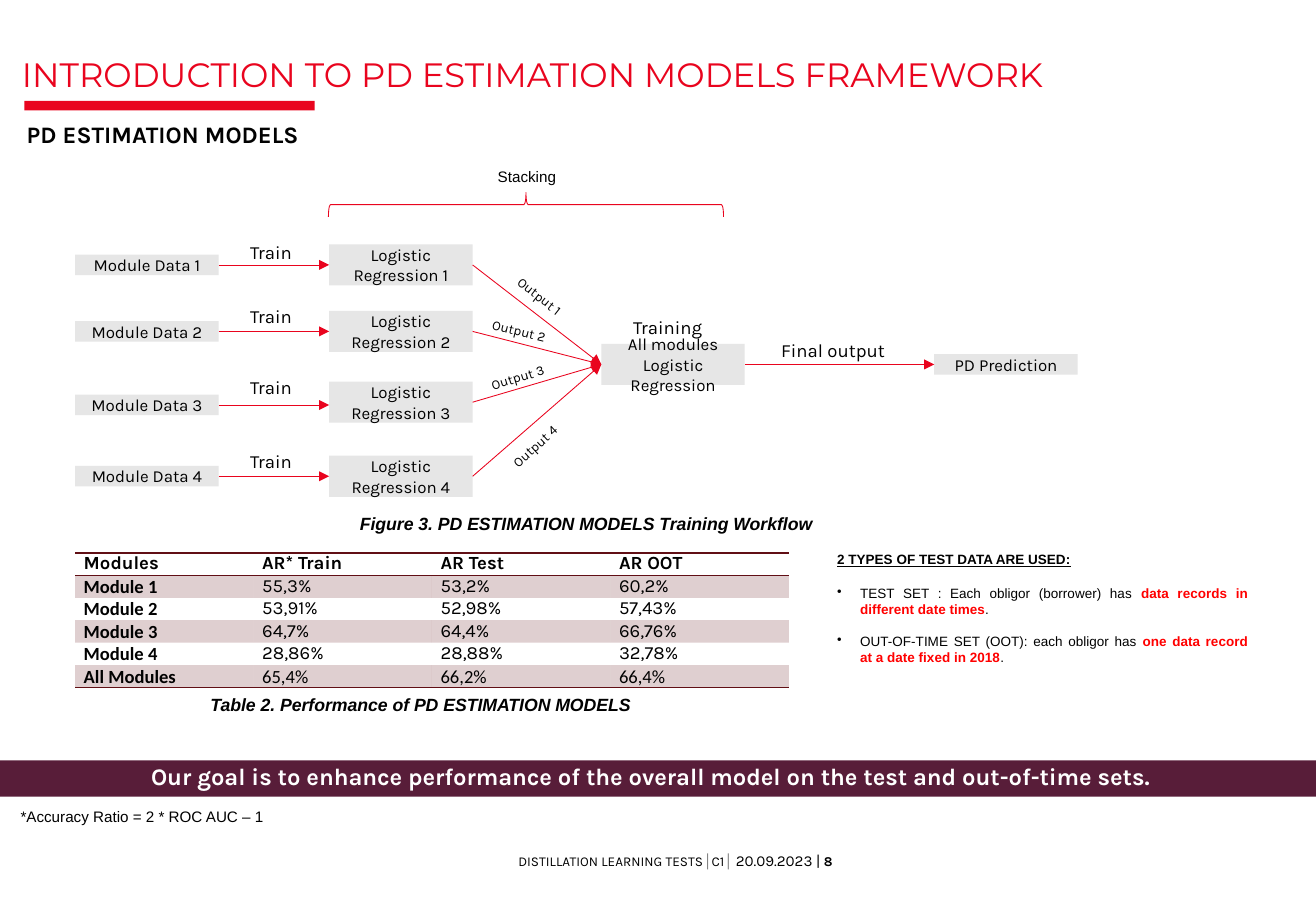
from dataclasses import dataclass
from typing import NamedTuple

from lxml import etree
from pptx import Presentation
from pptx import util as u
from pptx.dml import color
from pptx.enum import shapes, text
from pptx.oxml import ns

RED, INK, GREY, MAROON = "E9041E", "010101", "E6E6E6", "610F15"
KARLA, ARIAL = "Karla", "Arial"
LEFT, CENTER, JUSTIFY = text.PP_ALIGN.LEFT, text.PP_ALIGN.CENTER, text.PP_ALIGN.JUSTIFY
TOP, MIDDLE, BOTTOM = text.MSO_ANCHOR.TOP, text.MSO_ANCHOR.MIDDLE, text.MSO_ANCHOR.BOTTOM
BOX_WIDTH, LOW, TALL = 3.0, 0.43, 0.86
PLAIN_TABLE = "{2D5ABB26-0587-4C30-8999-92F81FD0307C}"


class Style(NamedTuple):
    size: float
    font: str = KARLA
    color: str = INK
    bold: bool = False
    italic: bool = False
    underline: bool = False


BOX, ACTION, OUTPUT = Style(10), Style(11), Style(8)
CAPTION = Style(10.5, ARIAL, bold=True, italic=True)
NOTE = Style(8, ARIAL)
NOTE_KEY = Style(8, ARIAL, "FF0000", bold=True)


@dataclass
class Label:
    words: str
    left: float
    top: float
    width: float
    height: float
    style: Style
    align: text.PP_ALIGN = LEFT
    angle: float = 0
    inset: float = 0.1
    anchor: text.MSO_ANCHOR = TOP
    line_spacing: float = 1.0


@dataclass
class Branch:
    """One module; y values are centres, output_x and output_y centre the slanted label."""
    module_y: float
    regression_y: float
    train_top: float
    output_x: float
    output_y: float
    angle: float


BRANCHES = [
    Branch(5.54, 5.54, 4.93, 11.28, 6.19, 38.2),
    Branch(6.93, 6.93, 6.27, 10.85, 6.92, 13.9),
    Branch(8.47, 8.41, 7.77, 10.82, 7.89, -17.3),
    Branch(9.96, 9.96, 9.32, 11.18, 9.33, -42.5),
]
LABELS = [
    Label("INTRODUCTION TO PD ESTIMATION MODELS FRAMEWORK", 0.46, 1.3, 25.7, 0.66,
          Style(20, "Montserrat", RED), inset=0, anchor=BOTTOM, line_spacing=0.75),
    Label("PD ESTIMATION MODELS", 0.46, 2.41, 20.62, 0.81, Style(14, bold=True)),
    Label("Stacking", 9.68, 3.4, 2.67, 0.58, Style(9, ARIAL), CENTER),
    Label("Training", 12.6, 6.5, 2.72, 0.66, ACTION, CENTER),
    Label("Final output", 16.23, 6.99, 3.3, 0.66, ACTION),
    Label("Figure 3. PD ESTIMATION MODELS Training Workflow", 6.53, 10.62, 11.46, 0.66,
          CAPTION, CENTER),
    Label("Table 2. Performance of PD ESTIMATION MODELS", 3.07, 14.4, 11.46, 0.66,
          CAPTION, CENTER),
    Label("*Accuracy Ratio = 2 * ROC AUC – 1", 0.33, 16.79, 6.02, 0.97, Style(9, ARIAL)),
]
RESULTS = [
    ("Modules", "AR* Train", "AR Test", "AR OOT"),
    ("Module 1", "55,3%", "53,2%", "60,2%"),
    ("Module 2", "53,91%", "52,98%", "57,43%"),
    ("Module 3", "64,7%", "64,4%", "66,76%"),
    ("Module 4", "28,86%", "28,88%", "32,78%"),
    ("All Modules", "65,4%", "66,2%", "66,4%"),
]
FOOTER = [
    ("DISTILLATION LEARNING TESTS", Style(8)), ("│", Style(8, color="808080")),
    ("C1", Style(8)), ("│ ", Style(8, color="808080")),
    ("20.09.2023 |", Style(9)), (" 8", Style(8, bold=True)),
]
TEST_SETS = [
    ("TEST SET : Each obligor (borrower) has ", "data records in different date times", 10.4),
    ("OUT-OF-TIME SET (OOT): each obligor has ", "one data record at a date fixed in 2018", 9.2),
]

deck = Presentation()
deck.slide_width, deck.slide_height = u.Cm(27.51), u.Cm(19.05)
slide = deck.slides.add_slide(deck.slide_layouts[6])


def rgb(value: str) -> color.RGBColor:
    return color.RGBColor.from_string(value)


def area(*lengths: float) -> list[u.Cm]:
    return [u.Cm(length) for length in lengths]


def format_run(run, style: Style) -> None:
    font = run.font
    font.size, font.name = u.Pt(style.size), style.font
    font.bold, font.italic, font.underline = style.bold, style.italic, style.underline
    font.color.rgb = rgb(style.color)


def add_runs(paragraph, pieces: list[tuple[str, Style]]) -> None:
    for words, style in pieces:
        run = paragraph.add_run()
        run.text = words
        format_run(run, style)


def set_frame(frame, inset: float, anchor: text.MSO_ANCHOR) -> None:
    frame.word_wrap, frame.vertical_anchor = True, anchor
    frame.margin_left = frame.margin_right = u.Cm(inset)
    frame.margin_top = frame.margin_bottom = u.Cm(inset)


def set_words(frame, words: str, style: Style, align: text.PP_ALIGN) -> None:
    frame.text = words
    frame.paragraphs[0].alignment = align
    format_run(frame.paragraphs[0].runs[0], style)


def add_label(label: Label) -> None:
    holder = slide.shapes.add_textbox(*area(label.left, label.top, label.width, label.height))
    holder.rotation = label.angle
    set_frame(holder.text_frame, label.inset, label.anchor)
    set_words(holder.text_frame, label.words, label.style, label.align)
    holder.text_frame.paragraphs[0].line_spacing = label.line_spacing


def add_bar(left: float, top: float, width: float, height: float, fill: str):
    bar = slide.shapes.add_shape(shapes.MSO_SHAPE.RECTANGLE, *area(left, top, width, height))
    bar.shadow.inherit = False
    bar.fill.solid()
    bar.fill.fore_color.rgb = rgb(fill)
    bar.line.fill.background()
    return bar


def add_box(words: str, left: float, center_y: float, height: float):
    box = add_bar(left, center_y - height / 2, BOX_WIDTH, height, GREY)
    set_frame(box.text_frame, 0, MIDDLE)
    set_words(box.text_frame, words, BOX, CENTER)
    return box


def add_arrow(source, target, level: bool = False) -> None:
    """Joins two boxes; a level arrow keeps the height of its source."""
    y = source.top + source.height // 2
    arrow = slide.shapes.add_connector(
        shapes.MSO_CONNECTOR.STRAIGHT, source.left + source.width, y, target.left, y)
    arrow.begin_connect(source, 3)
    if not level:
        arrow.end_connect(target, 1)
    arrow.line.color.rgb, arrow.line.width = rgb(RED), u.Pt(0.5)
    properties = arrow.element.spPr
    etree.SubElement(properties.find(ns.qn("a:ln")), ns.qn("a:tailEnd"), type="triangle")
    etree.SubElement(properties, ns.qn("a:effectLst"))


def add_rule(cell, side: str) -> None:
    rule = etree.Element(ns.qn(f"a:{side}"), w=str(u.Pt(1)))
    fill = etree.SubElement(rule, ns.qn("a:solidFill"))
    etree.SubElement(fill, ns.qn("a:srgbClr"), val=MAROON)
    cell._tc.get_or_add_tcPr().insert(0, rule)


def add_results() -> None:
    table = slide.shapes.add_table(6, 4, *area(1.57, 11.56, 14.92, 2.82)).table
    table._tbl.tblPr.find(ns.qn("a:tableStyleId")).text = PLAIN_TABLE
    last = len(RESULTS) - 1
    for r, values in enumerate(RESULTS):
        table.rows[r].height = u.Cm(0.47)
        for c, value in enumerate(values):
            cell = table.cell(r, c)
            cell.margin_left = cell.margin_right = u.Cm(0.18)
            cell.margin_top = cell.margin_bottom = 0
            font = "Calibri" if r == last or (r and c == 0) else KARLA
            set_words(cell.text_frame, value, Style(11, font, bold=r == 0 or c == 0), LEFT)
            if r % 2:
                cell.fill.solid()
                cell.fill.fore_color.rgb = rgb(MAROON)
                tint = next(cell._tc.tcPr.iter(ns.qn("a:srgbClr")))
                etree.SubElement(tint, ns.qn("a:alpha"), val="20000")
            else:
                cell.fill.background()
            if r in (0, last):
                add_rule(cell, "lnB")
            if r == 0:
                add_rule(cell, "lnT")


def add_test_sets() -> None:
    frame = slide.shapes.add_textbox(*area(17.4, 11.43, 8.79, 2.64)).text_frame
    set_frame(frame, 0.1, TOP)
    heading = Style(8, ARIAL, bold=True, underline=True)
    set_words(frame, "2 TYPES OF TEST DATA ARE USED:", heading, LEFT)
    for opening, key, gap in TEST_SETS:
        item = frame.add_paragraph()
        properties = item._p.get_or_add_pPr()
        properties.set("marL", str(u.Cm(0.48)))
        properties.set("indent", str(u.Cm(-0.48)))
        etree.SubElement(properties, ns.qn("a:buChar"), char="•")
        item.alignment, item.space_before = JUSTIFY, u.Pt(gap)
        add_runs(item, [(opening, NOTE), (key, NOTE_KEY), (".", NOTE)])


def add_workflow() -> None:
    stacked = add_box("All modules Logistic Regression", 12.57, 7.62, TALL)
    prediction = add_box("PD Prediction", 19.53, 7.62, LOW)
    add_arrow(stacked, prediction)
    for number, b in enumerate(BRANCHES, 1):
        module = add_box(f"Module Data {number}", 1.57, b.module_y, LOW)
        regression = add_box(f"Logistic Regression {number}", 6.88, b.regression_y, TALL)
        add_arrow(module, regression, level=b.module_y != b.regression_y)
        add_arrow(regression, stacked)
        add_label(Label("Train", 5.13, b.train_top, 1.22, 0.66, ACTION))
        add_label(Label(f"Output {number}", b.output_x - 0.92, b.output_y - 0.27, 1.84, 0.54,
                        OUTPUT, CENTER, b.angle))
    brace = slide.shapes.add_shape(shapes.MSO_SHAPE.LEFT_BRACE, *area(10.74, 0.15, 0.51, 8.26))
    brace.rotation, brace.shadow.inherit = 90, False
    brace.fill.background()
    brace.line.color.rgb, brace.line.width = rgb(RED), u.Pt(0.5)


def add_goal() -> None:
    goal = add_bar(0, 15.9, 27.51, 0.76, "581D39").text_frame
    set_frame(goal, 0.1, TOP)
    goal.margin_right = u.Cm(0.4)
    set_words(goal, "Our goal is to enhance performance of the overall model on the test "
              "and out-of-time sets.", Style(14.1, color="FFFFFF", bold=True), CENTER)
    goal.paragraphs[0].line_spacing = 0.9


def add_footer() -> None:
    footer = slide.shapes.add_textbox(*area(10.13, 17.81, 7.98, 0.38)).text_frame
    set_frame(footer, 0, MIDDLE)
    footer.paragraphs[0].alignment = CENTER
    add_runs(footer.paragraphs[0], FOOTER)


add_footer()
add_bar(0.51, 2.11, 6.07, 0.2, RED)
add_goal()
add_workflow()
add_results()
add_test_sets()
for entry in LABELS:
    add_label(entry)
deck.save("out.pptx")
